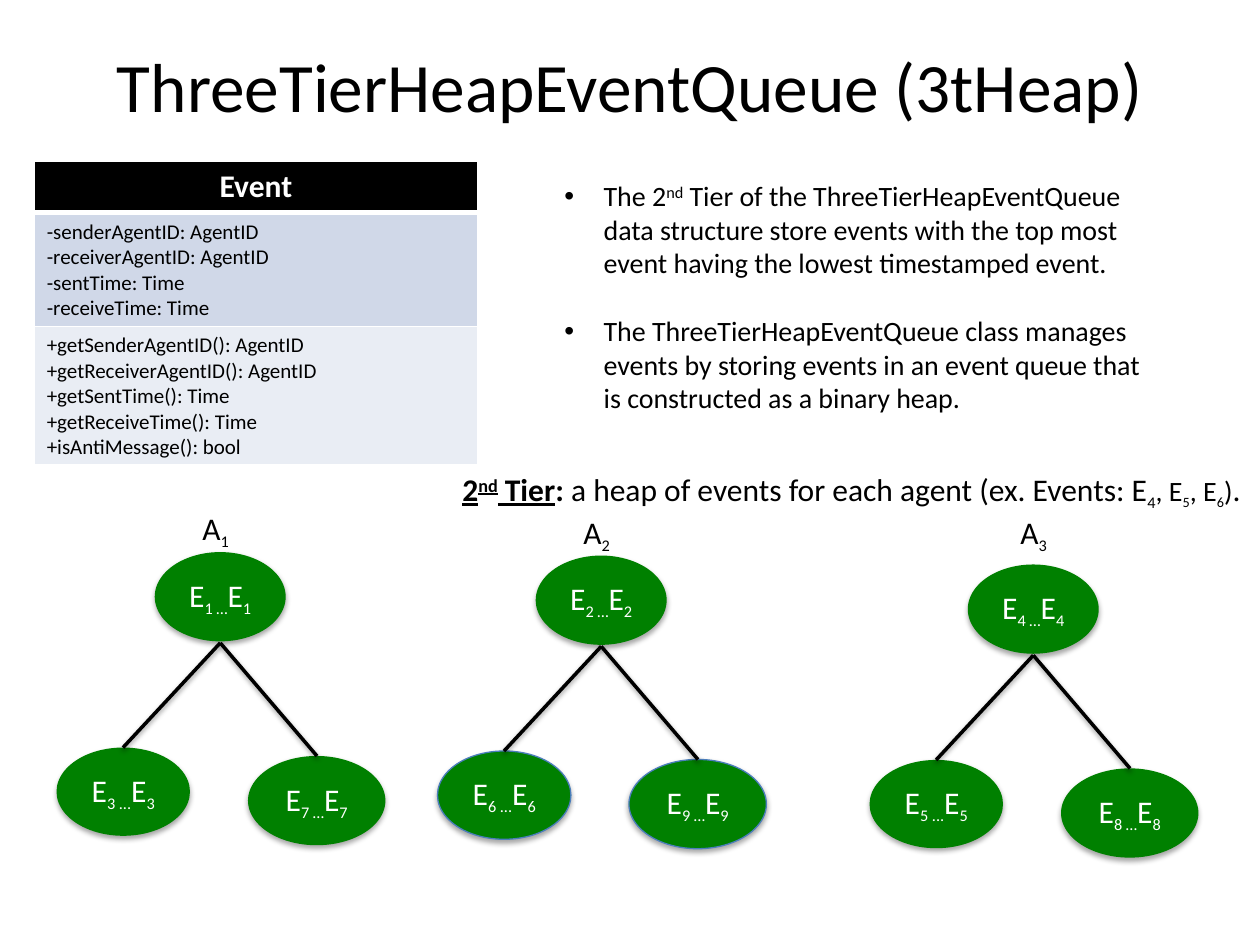
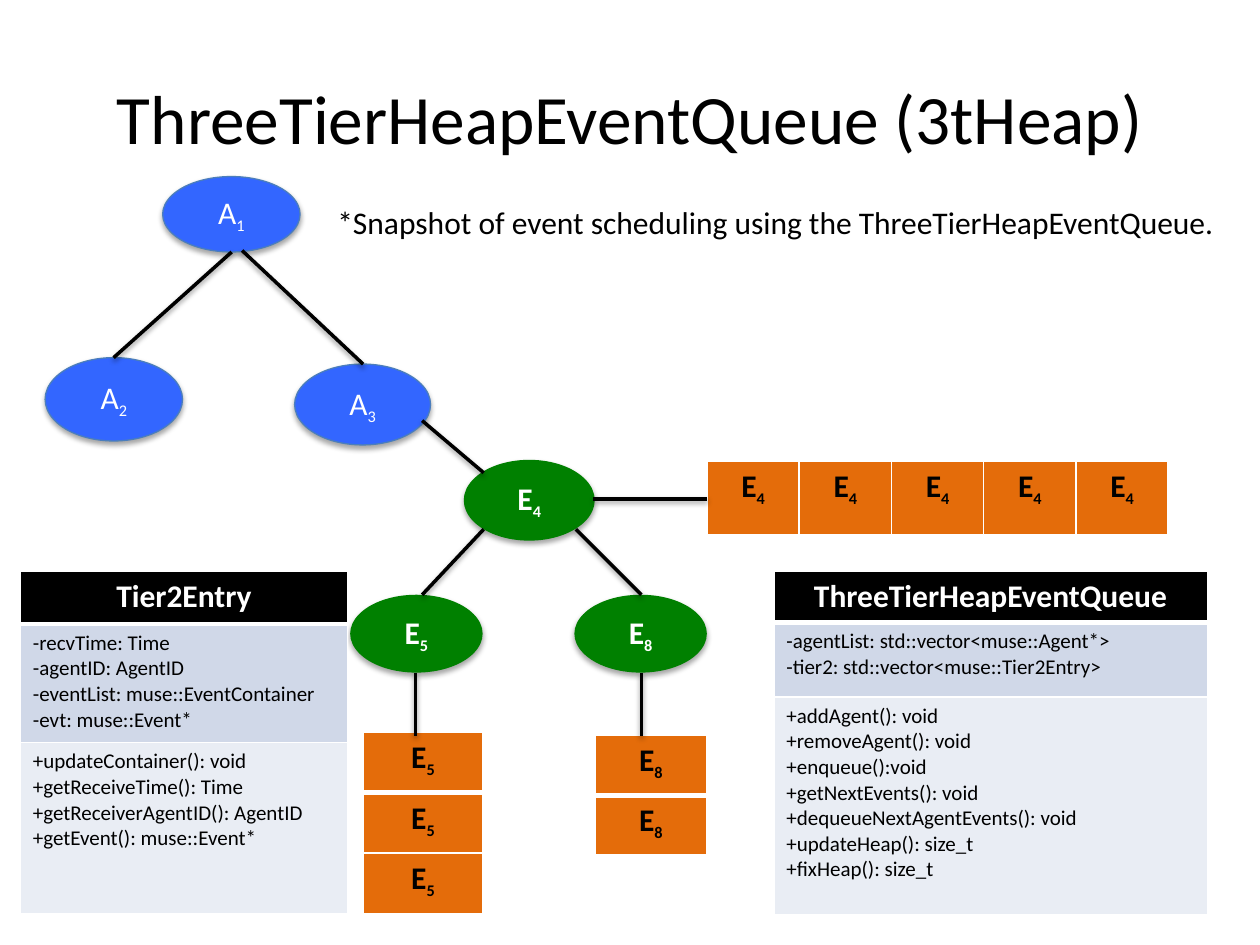
from lxml.etree import SubElement
from pptx import Presentation
from pptx.dml.color import RGBColor
from pptx.enum.shapes import MSO_CONNECTOR, MSO_SHAPE
from pptx.enum.text import MSO_ANCHOR, PP_ALIGN
from pptx.oxml import parse_xml
from pptx.oxml.ns import nsdecls, qn
from pptx.util import Cm, Pt

# Shared look
FONT = "Calibri"
BLACK, WHITE = "000000", "FFFFFF"
GREEN, BLUE, ORANGE, OUTLINE = "008000", "3366FF", "E46C0A", "4B7EBC"
CLASS_FILLS = [BLACK, "D0D8E8", "E9EDF4"]
TITLE = "ThreeTierHeapEventQueue (3tHeap)"
color = RGBColor.from_string


def write(frame, text, size=18, fill=BLACK, bold=False, underline=False,
          align=PP_ALIGN.LEFT, shift=-25, shift_size=16, append=False):
    """Write a paragraph; parts between ~ marks are raised or lowered."""
    paragraph = frame.paragraphs[-1]
    if paragraph.runs and not append:
        paragraph = frame.add_paragraph()
    paragraph.alignment = align
    for i, part in enumerate(text.split("~")):
        if not part:
            continue
        run = paragraph.add_run()
        run.text = part
        run.font.name = FONT
        run.font.size = Pt(shift_size if i % 2 else size)
        run.font.bold = bold
        run.font.underline = underline
        run.font.color.rgb = color(fill)
        if i % 2:
            run._r.get_or_add_rPr().set("baseline", str(shift * 1000))
    return paragraph


def add_shadow(shape, opacity, distance):
    """Cast a soft shadow straight down."""
    properties = shape._element.spPr
    for old in properties.findall(qn("a:effectLst")):
        properties.remove(old)
    properties.append(parse_xml(
        f'<a:effectLst {nsdecls("a")}><a:outerShdw blurRad="{Pt(3.1)}" '
        f'dist="{Pt(distance)}" dir="5400000" rotWithShape="0"><a:srgbClr val="{BLACK}">'
        f'<a:alpha val="{opacity * 1000}"/></a:srgbClr></a:outerShdw></a:effectLst>'))


# Slide 1: one heap of events per agent
# agent, root left and top, label offset, root / left / right events, outlined leaves
heaps = [
    ("1", 3.12, 11.13, 0.71, -0.99, "1", "3", "7", False),
    ("2", 10.8, 11.2, 0.71, -0.99, "2", "6", "9", True),
    ("3", 19.51, 11.38, 0.81, -1.17, "4", "5", "8", False),
]
heap_nodes, heap_edges, heap_labels = [], [], []
for agent, x, y, label_dx, label_dy, root, left, right, outlined in heaps:
    heap_nodes += [
        (f"E~{root} …~E~{root}~", x, y, 2.64, 1.8, GREEN, outlined and None, False),
        (f"E~{right} …~E~{right}~", x + 1.88, y + 4.11, 2.77, 1.8, GREEN, outlined, False),
        (f"E~{left} ...~E~{left}~", x - 1.98, y + 3.94, 2.69, 1.78, GREEN, outlined, False),
    ]
    heap_edges += [(x + 1.32, y + 1.83, x - 0.64, y + 3.94),
                   (x + 1.32, y + 1.83, x + 3.27, y + 4.11)]
    heap_labels.append((f"A~{agent}~", x + label_dx, y + label_dy, 1.93))

event_class = [
    ["Event"],
    ["-senderAgentID: AgentID", "-receiverAgentID: AgentID",
     "-sentTime: Time", "-receiveTime: Time"],
    ["+getSenderAgentID(): AgentID", "+getReceiverAgentID(): AgentID",
     "+getSentTime(): Time", "+getReceiveTime(): Time", "+isAntiMessage(): bool"],
]

# Slide 2: snapshot of the scheduling
# label, left, top, width, height, fill, outlined, bold
snapshot_nodes = [
    ("A~1~", 3.28, 3.56, 2.77, 1.52, BLUE, True, False),
    ("A~3~", 5.94, 7.34, 2.74, 1.63, BLUE, True, False),
    ("A~2~", 0.91, 7.21, 2.77, 1.68, BLUE, True, False),
    ("E~4~", 9.35, 9.27, 2.64, 1.63, GREEN, False, True),
    ("E~8~", 11.58, 11.99, 2.67, 1.57, GREEN, False, True),
    ("E~5~", 7.06, 11.99, 2.67, 1.57, GREEN, False, True),
]
snapshot_edges = [
    (4.67, 5.08, 2.29, 7.21), (4.88, 5.05, 7.32, 7.34),
    (8.51, 8.48, 9.75, 9.53), (11.96, 10.06, 14.25, 10.06),
    (9.75, 10.67, 8.51, 11.99), (11.61, 10.67, 12.93, 11.99),
    (8.38, 13.56, 8.38, 14.83), (12.93, 13.56, 12.93, 14.83),
]
tier_entry_class = [
    ["Tier2Entry"],
    ["-recvTime: Time", "-agentID: AgentID",
     "-eventList: muse::EventContainer", "-evt: muse::Event*"],
    ["+updateContainer(): void", "+getReceiveTime(): Time",
     "+getReceiverAgentID(): AgentID", "+getEvent(): muse::Event*"],
]
queue_class = [
    ["ThreeTierHeapEventQueue"],
    ["-agentList: std::vector<muse::Agent*>", "-tier2: std::vector<muse::Tier2Entry>"],
    ["+addAgent(): void", "+removeAgent(): void", "+enqueue():void",
     "+getNextEvents(): void", "+dequeueNextAgentEvents(): void",
     "+updateHeap(): size_t", "+fixHeap(): size_t"],
]

# Class tables: content, left, top, width, row heights
# Event lists: label, left, top, column width, columns, row height, rows
pages = [
    dict(title_height=1.91, nodes=heap_nodes, edges=heap_edges, labels=heap_labels,
         classes=[(event_class, 0.69, 3.25, 8.94, [1.04, 2.26, 2.79])], lists=[]),
    dict(title_height=3.18, nodes=snapshot_nodes, edges=snapshot_edges,
         labels=[("*Snapshot of event scheduling using the ThreeTierHeapEventQueue.",
                  6.55, 3.96, 21.49)],
         classes=[(queue_class, 15.6, 11.51, 8.74, [1.04, 1.5, 4.39]),
                  (tier_entry_class, 0.41, 11.51, 6.6, [1.07, 2.39, 3.45])],
         lists=[("E~4~", 14.25, 9.3, 1.86, 5, 1.52, 1),
                ("E~5~", 7.32, 14.76, 2.41, 1, 1.22, 3),
                ("E~8~", 11.99, 14.83, 2.26, 1, 1.2, 2)]),
]

deck = Presentation()
deck.slide_width, deck.slide_height = Cm(25.4), Cm(19.05)

for page in pages:
    slide = deck.slides.add_slide(deck.slide_layouts[6])
    shapes = slide.shapes

    # Title
    title = shapes.add_textbox(Cm(1.27), Cm(0.76), Cm(22.86),
                               Cm(page["title_height"])).text_frame
    title.word_wrap = True
    title.vertical_anchor = MSO_ANCHOR.MIDDLE
    write(title, TITLE, size=39.6, align=PP_ALIGN.CENTER)

    # Heap nodes
    for label, x, y, width, height, fill, outlined, bold in page["nodes"]:
        node = shapes.add_shape(MSO_SHAPE.OVAL, Cm(x), Cm(y), Cm(width), Cm(height))
        node.fill.solid()
        node.fill.fore_color.rgb = color(fill)
        if outlined:
            node.line.color.rgb = color(OUTLINE)
            node.line.width = Pt(0.75)
        else:
            node.line.fill.background()
        node.shadow.inherit = False
        add_shadow(node, 35, 1.8)
        node.text_frame.word_wrap = False
        node.text_frame.vertical_anchor = MSO_ANCHOR.MIDDLE
        write(node.text_frame, label, fill=WHITE, bold=bold, align=PP_ALIGN.CENTER)

    # Tables: every cell is (lines, fill, format)
    tables = []
    for content, x, y, width, heights in page["classes"]:
        formats = [dict(fill=WHITE, bold=True, align=PP_ALIGN.CENTER)] + [dict(size=12)] * 2
        rows = [[cell] for cell in zip(content, CLASS_FILLS, formats)]
        tables.append((rows, x, y, width, heights))
    for label, x, y, width, columns, height, count in page["lists"]:
        cell = ([label], ORANGE, dict(bold=True, align=PP_ALIGN.CENTER))
        tables.append(([[cell] * columns] * count, x, y, width, [height] * count))
    for rows, x, y, width, heights in tables:
        columns = len(rows[0])
        table = shapes.add_table(len(rows), columns, Cm(x), Cm(y),
                                 Cm(width * columns), Cm(sum(heights))).table
        for column in table.columns:
            column.width = Cm(width)
        for r, row in enumerate(rows):
            table.rows[r].height = Cm(heights[r])
            for c, (lines, fill, style) in enumerate(row):
                cell = table.cell(r, c)
                for line in lines:
                    write(cell.text_frame, line, **style)
                # White borders, thick below the first row
                properties = cell._tc.get_or_add_tcPr()
                for side in ("lnL", "lnR", "lnT", "lnB"):
                    thick = (r, side) in ((0, "lnB"), (1, "lnT"))
                    border = SubElement(properties, qn(f"a:{side}"), w=str(Pt(3 if thick else 1)))
                    paint = SubElement(border, qn("a:solidFill"))
                    SubElement(paint, qn("a:srgbClr"), val=WHITE)
                cell.fill.solid()
                cell.fill.fore_color.rgb = color(fill)

    # Branches
    for x1, y1, x2, y2 in page["edges"]:
        branch = shapes.add_connector(MSO_CONNECTOR.STRAIGHT, Cm(x1), Cm(y1), Cm(x2), Cm(y2))
        branch.line.color.rgb = color(BLACK)
        branch.line.width = Pt(2)
        add_shadow(branch, 38, 1.6)

    # Free labels
    for label, x, y, width in page["labels"]:
        frame = shapes.add_textbox(Cm(x), Cm(y), Cm(width), Cm(1.02)).text_frame
        frame.word_wrap = True
        write(frame, label)

# Tier caption on slide 1
shapes = deck.slides[0].shapes
caption = shapes.add_textbox(Cm(9.07), Cm(9.35), Cm(16.48), Cm(1.02)).text_frame
caption.word_wrap = True
write(caption, "2~nd~ Tier", bold=True, underline=True, shift=30, shift_size=18)
write(caption, ":", bold=True, append=True)
write(caption, " a heap of events for each agent (ex. Events: E~4~", append=True)
write(caption, ", E~5~, E~6~)", size=16, shift_size=14, append=True)
write(caption, ".", append=True)

# Bullets on slide 1
notes = shapes.add_textbox(Cm(11.13), Cm(3.48), Cm(12.14), Cm(5.05)).text_frame
notes.word_wrap = True
for text in (
    "The 2~nd~ Tier of the ThreeTierHeapEventQueue data structure store events "
    "with the top most event having the lowest timestamped event.",
    "The ThreeTierHeapEventQueue class manages events by storing events in an "
    "event queue that is constructed as a binary heap.",
):
    bullet = write(notes, text, size=16, shift=30)
    bullet.space_after = Pt(19.5)
    properties = bullet._p.get_or_add_pPr()
    properties.set("marL", str(Cm(0.79)))
    properties.set("indent", str(-Cm(0.79)))
    SubElement(properties, qn("a:buFont"), typeface="Arial")
    SubElement(properties, qn("a:buChar"), char="•")

deck.save("out.pptx")
